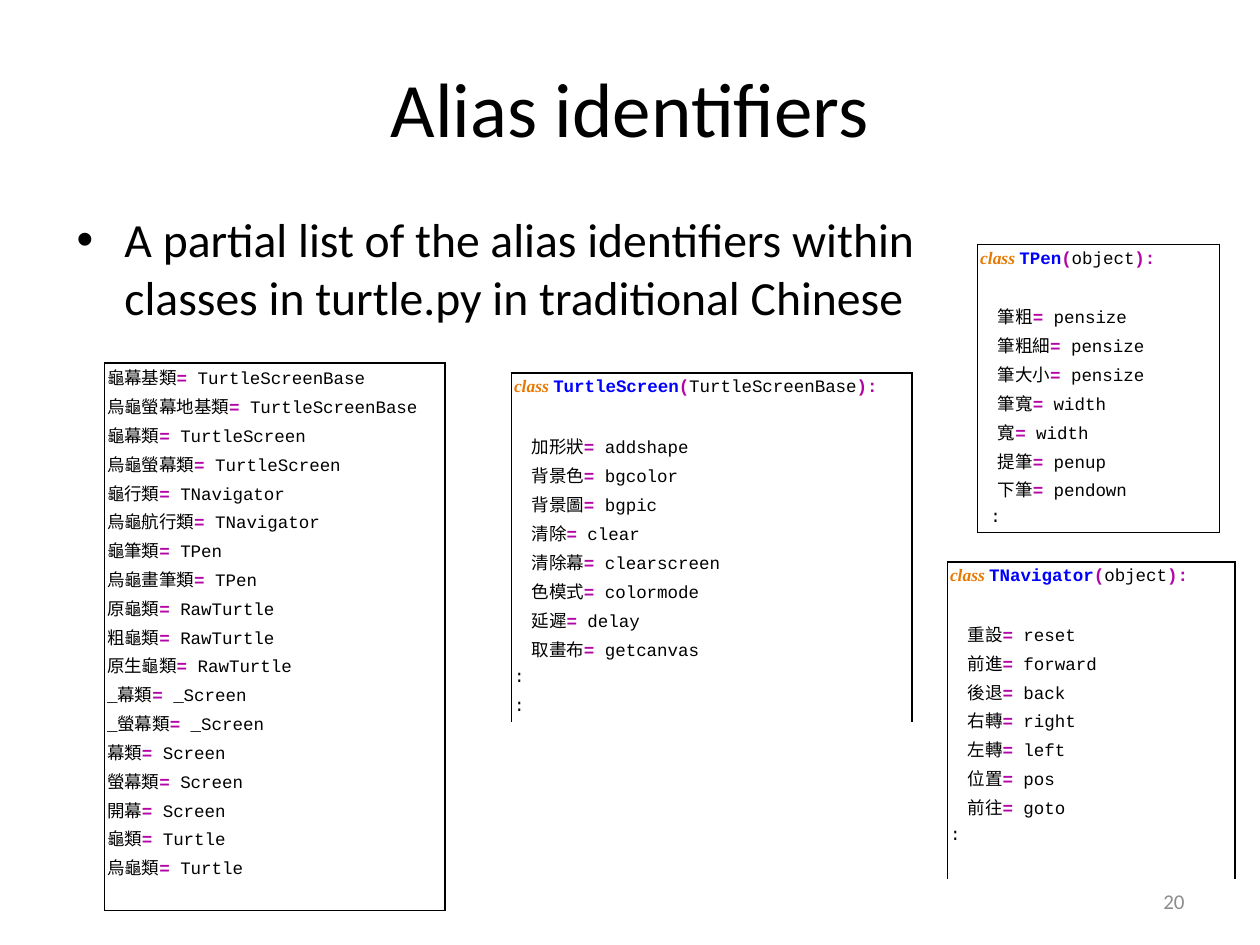
from collections import namedtuple

from lxml.etree import SubElement
from pptx import Presentation
from pptx.dml.color import RGBColor as Color
from pptx.enum.text import MSO_ANCHOR as Anchor, PP_ALIGN as Align
from pptx.oxml.ns import qn
from pptx.util import Inches, Pt

Box = namedtuple("Box", "left top width height")


class Theme:
    black, grey = "000000", "8C8C8C"
    orange, blue, purple = "E77901", "0000FF", "B304A6"
    sans, serif, mono = "Calibri", "Times New Roman", "Courier New"
    title_size, body_size, code_size, number_size = 44, 27.2, 10, 12
    border = 1


WIDTH, HEIGHT = 10, 7.5
COLUMNS, ROWS = 100, 75

TITLE = "Alias identifiers"
POINT = ("A partial list of the alias identifiers within classes "
         "in turtle.py in traditional Chinese")

MODULE_ALIASES = """龜幕基類=TurtleScreenBase
烏龜螢幕地基類=TurtleScreenBase
龜幕類=TurtleScreen
烏龜螢幕類=TurtleScreen
龜行類=TNavigator
烏龜航行類=TNavigator
龜筆類=TPen
烏龜畫筆類=TPen
原龜類=RawTurtle
粗龜類=RawTurtle
原生龜類=RawTurtle
_幕類=_Screen
_螢幕類=_Screen
幕類=Screen
螢幕類=Screen
開幕=Screen
龜類=Turtle
烏龜類=Turtle
""".split("\n")

SCREEN_ALIASES = """class TurtleScreen(TurtleScreenBase)

加形狀=addshape
背景色=bgcolor
背景圖=bgpic
清除=clear
清除幕=clearscreen
色模式=colormode
延遲=delay
取畫布=getcanvas
:
:""".split("\n")

PEN_ALIASES = """class TPen(object)

筆粗=pensize
筆粗細=pensize
筆大小=pensize
筆寬=width
寬=width
提筆=penup
下筆=pendown
:""".split("\n")

NAVIGATOR_ALIASES = """class TNavigator(object)

重設=reset
前進=forward
後退=back
右轉=right
左轉=left
位置=pos
前往=goto
:
""".split("\n")


def grid(left, top, width, height):
    column, row = WIDTH / COLUMNS, HEIGHT / ROWS
    return Box(Inches(left * column), Inches(top * row),
               Inches(width * column), Inches(height * row))


def apply(target, values):
    for name, value in values.items():
        setattr(target, name, value)


def add_span(para, text, size, face=Theme.sans, color=Theme.black, bold=False, italic=False):
    span = para.add_run()
    span.text = text
    apply(span.font, {"name": face, "size": Pt(size), "bold": bold, "italic": italic})
    span.font.color.rgb = Color.from_string(color)


def add_title(page, box):
    title = page.shapes.title
    apply(title, box._asdict())
    apply(title.text_frame, {"vertical_anchor": Anchor.MIDDLE, "word_wrap": True})
    para = title.text_frame.paragraphs[0]
    para.alignment = Align.CENTER
    add_span(para, TITLE, Theme.title_size)


def add_text(page, box, text, size, color, alignment, anchor):
    frame = page.shapes.add_textbox(*box).text_frame
    apply(frame, {"word_wrap": True, "vertical_anchor": anchor})
    para = frame.paragraphs[0]
    para.alignment = alignment
    add_span(para, text, size, color=color)
    return para


def add_point(page, box):
    para = add_text(page, box, POINT, Theme.body_size, Theme.black, Align.LEFT, Anchor.TOP)
    para.space_before = Pt(Theme.body_size * 0.2)
    indent_para(para, 0.38, -0.38)
    SubElement(para._p.pPr, qn("a:buFont"), typeface="Arial")
    SubElement(para._p.pPr, qn("a:buChar"), char="•")


def indent_para(para, margin, first=0):
    properties = para._p.get_or_add_pPr()
    properties.set("marL", str(Inches(margin)))
    properties.set("indent", str(Inches(first)))


def code_spans(line):
    mono, serif = Theme.mono, Theme.serif
    if line.startswith("class "):
        name, base = line[len("class "):-1].split("(")
        return [("class ", serif, Theme.orange, True, True),
                (name, mono, Theme.blue, True), ("(", mono, Theme.purple, True),
                (base, mono), ("):", mono, Theme.purple, True)]
    if "=" in line:
        alias, name = line.split("=")
        prefix = [("_", mono)] if alias.startswith("_") else []
        return prefix + [(alias.lstrip("_"), serif),
                         ("= ", mono, Theme.purple, True), (name, mono)]
    return [(line, mono)] if line else []


def draw_borders(cell, sides):
    properties = cell._tc.get_or_add_tcPr()
    for side in "LRTB":
        line = SubElement(properties, qn("a:ln" + side), w=str(Pt(Theme.border)))
        if side in sides:
            fill = SubElement(line, qn("a:solidFill"))
            SubElement(fill, qn("a:srgbClr"), val=Theme.black)
        else:
            SubElement(line, qn("a:noFill"))


def add_listing(page, box, lines, alias_indent=0.14, colon_indent=0, closed=False):
    table = page.shapes.add_table(len(lines), 1, *box).table
    apply(table, {"first_row": False, "horz_banding": False})
    margins = {"margin_left": Inches(0.02), "margin_right": Inches(0.02),
               "margin_top": 0, "margin_bottom": 0, "vertical_anchor": Anchor.MIDDLE}
    for index, line in enumerate(lines):
        cell = table.cell(index, 0)
        apply(cell, margins)
        top = "T" if index == 0 else ""
        bottom = "B" if closed and index == len(lines) - 1 else ""
        draw_borders(cell, "LR" + top + bottom)
        cell.fill.background()
        para = cell.text_frame.paragraphs[0]
        indent_para(para, alias_indent if "=" in line else colon_indent if line == ":" else 0)
        for text, *style in code_spans(line):
            add_span(para, text, Theme.code_size, *style)
        if not line:
            SubElement(para._p, qn("a:endParaRPr"), sz=str(Theme.code_size * 100))


def build_page(deck):
    page = deck.slides.add_slide(deck.slide_layouts[5])
    add_title(page, grid(5, 3, 90, 10.9))
    add_listing(page, grid(8.3, 28.8, 27, 43.5), MODULE_ALIASES, alias_indent=0, closed=True)
    add_text(page, grid(71.7, 69.5, 23.3, 4), "20", Theme.number_size,
             Theme.grey, Align.RIGHT, Anchor.MIDDLE)
    add_listing(page, grid(40.6, 29.6, 31.8, 27.7), SCREEN_ALIASES)
    add_listing(page, grid(77.6, 19.4, 19.2, 22.9), PEN_ALIASES, colon_indent=0.08, closed=True)
    add_listing(page, grid(75.2, 44.6, 22.8, 25.2), NAVIGATOR_ALIASES)
    add_point(page, grid(5.1, 16.2, 71.7, 10.6))


def main():
    deck = Presentation()
    apply(deck, {"slide_width": Inches(WIDTH), "slide_height": Inches(HEIGHT)})
    build_page(deck)
    deck.save("out.pptx")


if __name__ == "__main__":
    main()
